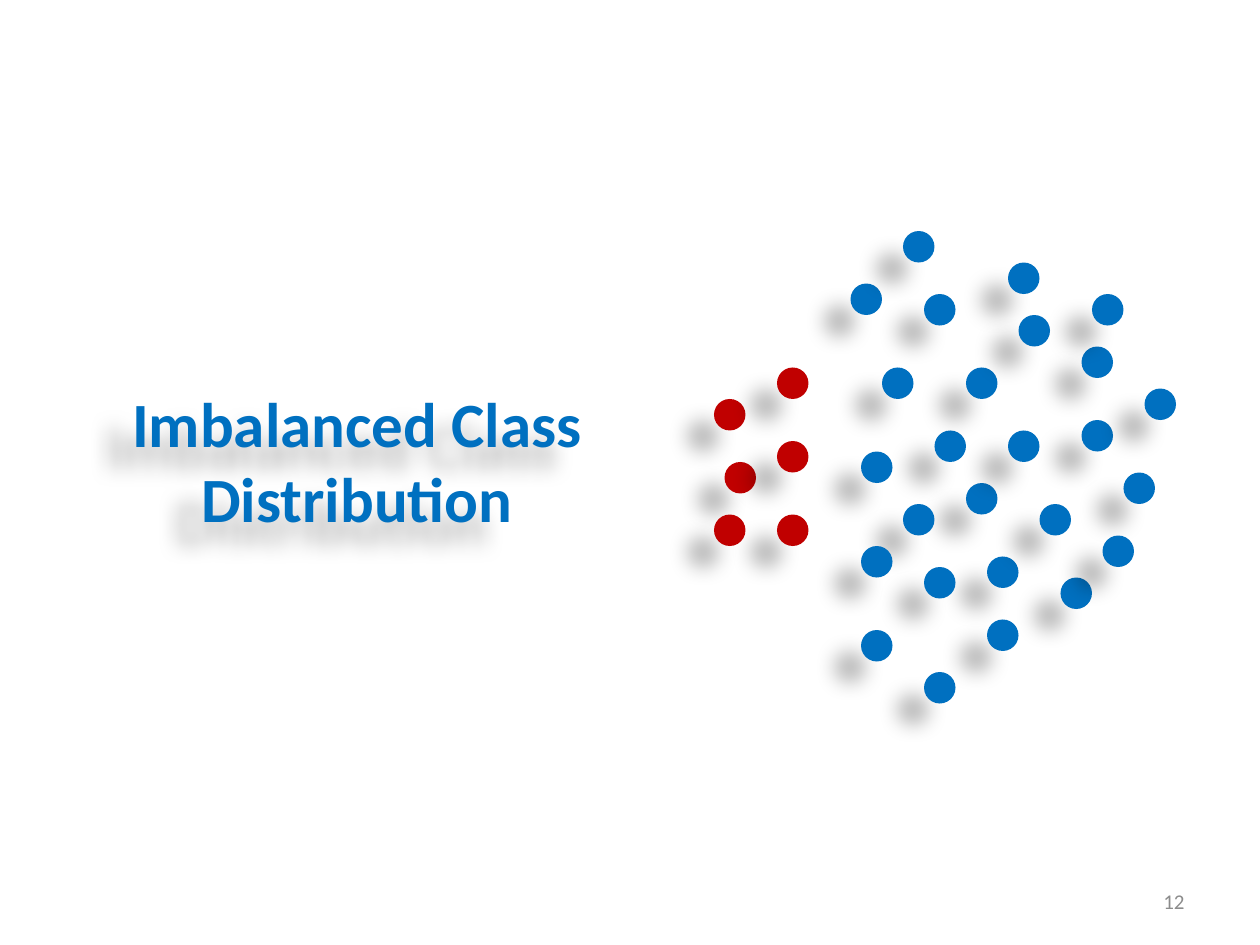
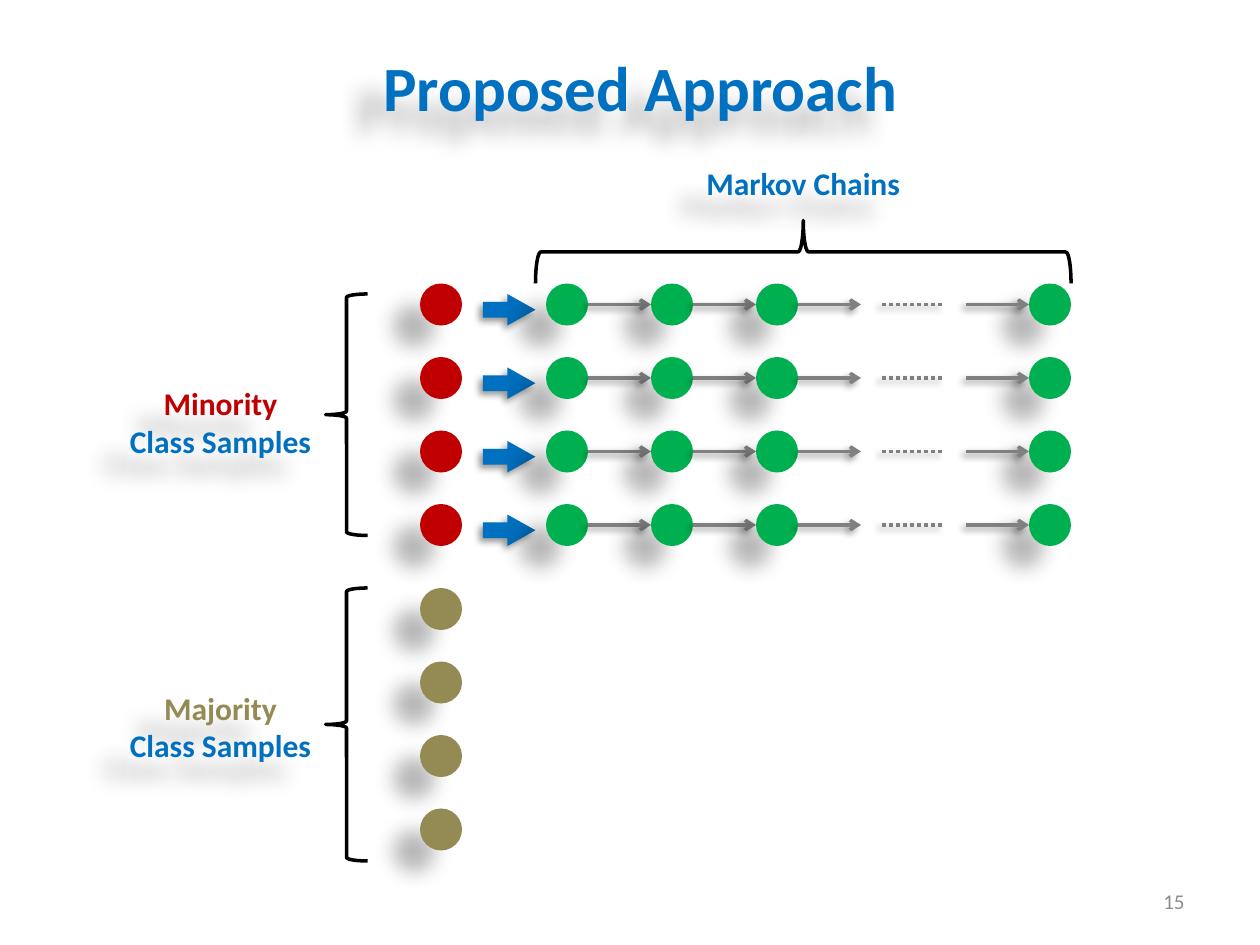
from dataclasses import dataclass

from lxml import etree
from pptx import Presentation
from pptx.dml.color import RGBColor
from pptx.enum.dml import MSO_LINE
from pptx.enum.shapes import MSO_CONNECTOR, MSO_SHAPE
from pptx.enum.text import MSO_ANCHOR, MSO_AUTO_SIZE, PP_ALIGN
from pptx.oxml.ns import qn
from pptx.util import Cm, Pt

ELLIPSE, BLOCK_ARROW, BRACE = MSO_SHAPE.OVAL, MSO_SHAPE.RIGHT_ARROW, MSO_SHAPE.LEFT_BRACE
STRAIGHT, DOTTED = MSO_CONNECTOR.STRAIGHT, MSO_LINE.ROUND_DOT
CENTER, RIGHT = PP_ALIGN.CENTER, PP_ALIGN.RIGHT
TOP, MIDDLE = MSO_ANCHOR.TOP, MSO_ANCHOR.MIDDLE
GROW = MSO_AUTO_SIZE.SHAPE_TO_FIT_TEXT


@dataclass(frozen=True)
class Theme:
    font: str = "Calibri"
    blue: RGBColor = RGBColor(0x00, 0x70, 0xC0)
    red: RGBColor = RGBColor(0xC0, 0x00, 0x00)
    green: RGBColor = RGBColor(0x00, 0xB0, 0x50)
    olive: RGBColor = RGBColor(0x94, 0x8A, 0x54)
    link: RGBColor = RGBColor(0x80, 0x80, 0x80)
    number: RGBColor = RGBColor(0x8C, 0x8C, 0x8C)
    black: RGBColor = RGBColor(0, 0, 0)
    title_size: Pt = Pt(36)
    label_size: Pt = Pt(18)
    number_size: Pt = Pt(12)
    stroke: Pt = Pt(2)
    # opacity %, blur pt, distance pt, direction degrees
    far_shadow: tuple = (28, 11.8, 19.7, 141)
    near_shadow: tuple = (40, 4, 3, 135)


T = Theme()
GRID = Cm(2.54) // 12  # all positions below count twelfths of an inch


def cast_shadow(s, style):
    """Append an outer shadow; call after fill and line are set."""
    opacity, blur, distance, direction = style
    effects = etree.SubElement(s._element.spPr, qn("a:effectLst"))
    outer = etree.SubElement(
        effects, qn("a:outerShdw"), blurRad=str(int(Pt(blur))), dist=str(int(Pt(distance))),
        dir=str(direction * 60000), algn="ctr", rotWithShape="0")
    color = etree.SubElement(outer, qn("a:srgbClr"), val=str(T.black))
    etree.SubElement(color, qn("a:alpha"), val=str(opacity * 1000))


def add_solid(slide, kind, x, y, w, h, color, shadow):
    s = slide.shapes.add_shape(kind, x * GRID, y * GRID, w * GRID, h * GRID)
    s.fill.solid()
    s.fill.fore_color.rgb = color
    s.line.fill.background()
    cast_shadow(s, shadow)
    return s


prs = Presentation()
prs.slide_width, prs.slide_height = Cm(25.4), Cm(19.05)
blank = prs.slide_layouts[6]
imbalance, approach = (prs.slides.add_slide(blank) for _ in range(2))

# Titles and labels: slide, box, size, coloured lines
texts = [
    (imbalance, (11, 36, 46, 15.7), T.title_size, [("Imbalanced Class Distribution", T.blue)]),
    (approach, (22, 4, 78, 8.5), T.title_size, [("Proposed Approach", T.blue)]),
    (approach, (11, 36, 20, 8.5), T.label_size,
     [("Minority", T.red), ("Class Samples", T.blue)]),
    (approach, (11, 65, 20, 8.5), T.label_size,
     [("Majority", T.olive), ("Class Samples", T.blue)]),
    (approach, (63, 15, 27, 4.8), T.label_size, [("Markov Chains", T.blue)]),
]
for slide, number in ((imbalance, "12"), (approach, "15")):
    texts.append((slide, (86, 83.4, 28, 4.8), T.number_size, [(number, T.number)]))

for slide, box, size, lines in texts:
    is_number = size == T.number_size
    s = slide.shapes.add_textbox(*(int(v * GRID) for v in box))
    tf = s.text_frame
    tf.word_wrap = True
    tf.vertical_anchor = MIDDLE if is_number else TOP
    if not is_number:
        tf.auto_size = GROW
        cast_shadow(s, T.far_shadow)
    for i, (words, color) in enumerate(lines):
        p = tf.add_paragraph() if i else tf.paragraphs[0]
        p.alignment = RIGHT if is_number else CENTER
        r = p.add_run()
        r.text = words
        r.font.name, r.font.size, r.font.bold = T.font, size, not is_number
        r.font.color.rgb = color

# Imbalanced classes: a small red cluster beside a large blue one
majority = [
    (81, 27), (82, 43), (89, 41), (84, 35), (94, 53), (101, 55), (92, 46), (103, 40), (109, 37),
    (99, 48), (86, 22), (96, 25), (88, 28), (94, 59), (107, 45), (103, 33), (92, 35), (105, 51),
    (97, 30), (96, 41), (86, 48), (82, 60), (88, 54), (104, 28), (82, 52), (88, 64),
]
minority = [(74, 49), (69, 44), (74, 42), (68, 38), (74, 35), (68, 49)]
for points, color in ((majority, T.blue), (minority, T.red)):
    for x, y in points:
        add_solid(imbalance, ELLIPSE, x, y, 3, 3, color, T.far_shadow)

# Minority samples, each starting a Markov chain
DOT, ROW_STEP, SAMPLE_X, LINK = 4, 7, 40, 6
chain = [(52, 56), (62, 66), (72, 76), (98, 92), (None, 84)]  # state x, link x
for row in range(4):
    y = 27 + row * ROW_STEP
    add_solid(approach, ELLIPSE, SAMPLE_X, y, DOT, DOT, T.red, T.far_shadow)
    s = add_solid(approach, BLOCK_ARROW, 46, y + 1, 5, 3, T.blue, T.near_shadow)
    s.adjustments[1] = 0.89
    for state_x, link_x in chain:
        middle = (y + DOT // 2) * GRID
        if state_x is not None:
            add_solid(approach, ELLIPSE, state_x, y, DOT, DOT, T.green, T.far_shadow)
        s = approach.shapes.add_connector(
            STRAIGHT, link_x * GRID, middle, (link_x + LINK) * GRID, middle)
        s.line.color.rgb = T.link
        s.line.width = T.stroke
        if state_x is None:
            s.line.dash_style = DOTTED
        else:
            etree.SubElement(s._element.spPr.find(qn("a:ln")), qn("a:tailEnd"), type="arrow")
        cast_shadow(s, T.near_shadow)

# Majority samples
for row in range(4):
    add_solid(approach, ELLIPSE, SAMPLE_X, 56 + row * ROW_STEP, DOT, DOT, T.olive, T.far_shadow)

# Braces: minority, majority, and the chains (turned to open downwards)
for box, turn in (((31, 28, 4, 23), 0), ((31, 56, 4, 26), 0), ((73.5, -1.5, 6, 51), 90)):
    s = approach.shapes.add_shape(BRACE, *(int(v * GRID) for v in box))
    s.rotation = turn
    s.fill.background()
    s.line.color.rgb = T.black
    s.line.width = T.stroke
    s.shadow.inherit = False

prs.save("out.pptx")
